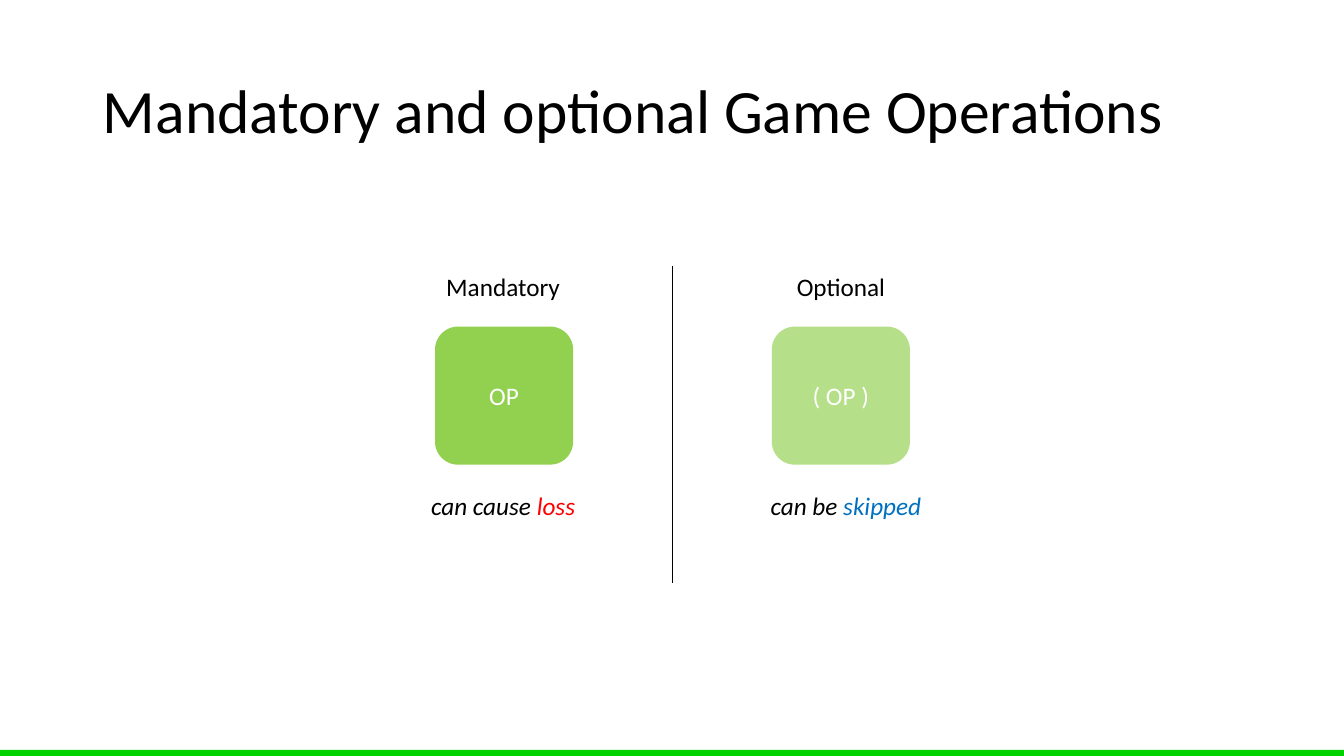
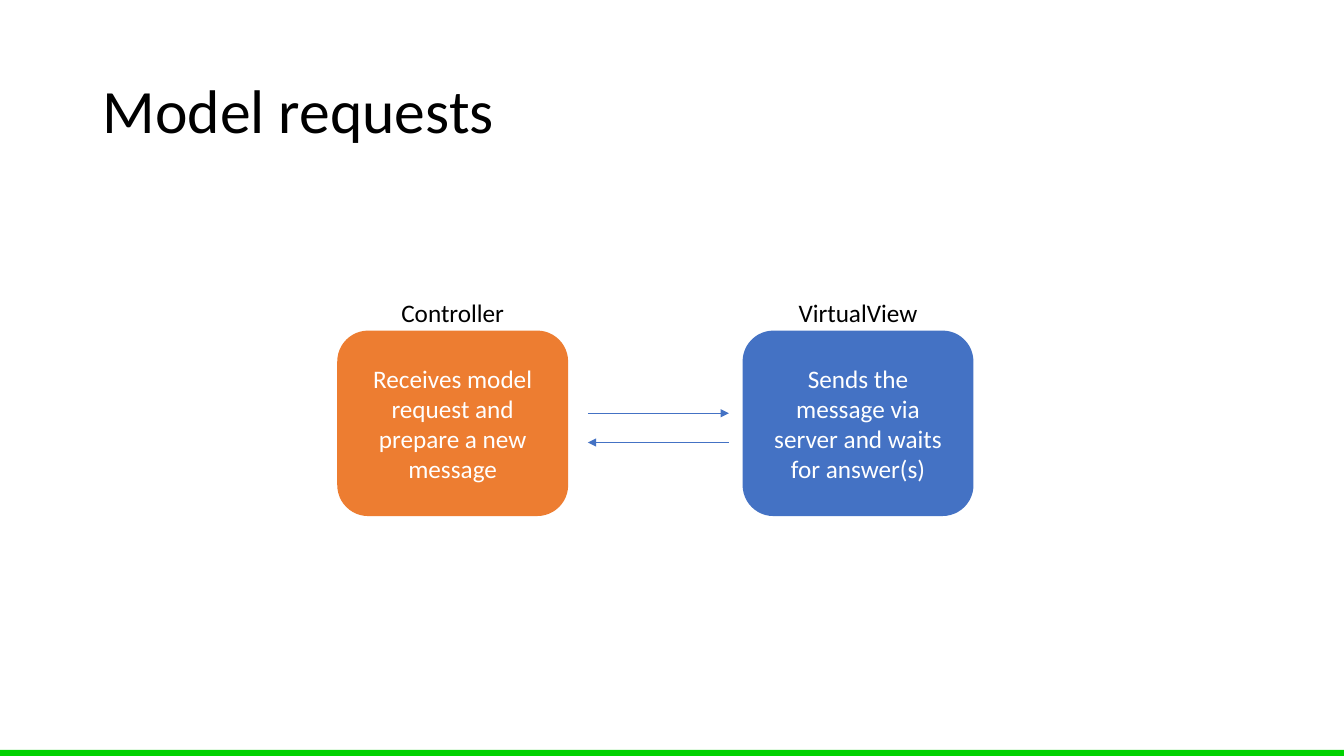
from pptx import Presentation
from pptx.dml.color import RGBColor
from pptx.enum.shapes import MSO_CONNECTOR, MSO_SHAPE
from pptx.enum.text import MSO_ANCHOR, MSO_AUTO_SIZE, PP_ALIGN
from pptx.oxml.ns import qn
from pptx.util import Inches, Pt
from lxml.etree import SubElement

BLACK, WHITE, BAND = "000000", "FFFFFF", "00D200"
GREEN, ORANGE, BLUE = "92D050", "ED7D31", "4472C4"
RED, SKY = "FF0000", "0070C0"
TITLE_STYLE = {"name": "Calibri", "size": Pt(44)}
TEXT_STYLE = {"name": "Calibri", "size": Pt(18)}
CAPTION_STYLE = {**TEXT_STYLE, "italic": True}
LABEL_WIDTH, LABEL_HEIGHT = 2, 0.4


def paint(fill, color):
    fill.solid()
    fill.fore_color.rgb = RGBColor.from_string(color)


def write(shape, runs, style, alignment=PP_ALIGN.CENTER, anchor=MSO_ANCHOR.MIDDLE):
    frame = shape.text_frame
    frame_format = {"word_wrap": True, "auto_size": MSO_AUTO_SIZE.NONE, "vertical_anchor": anchor}
    for name, value in frame_format.items():
        setattr(frame, name, value)
    paragraph = frame.paragraphs[0]
    paragraph.alignment = alignment
    for text, color in runs:
        run = paragraph.add_run()
        run.text = text
        for name, value in style.items():
            setattr(run.font, name, value)
        paint(run.font.fill, color)


slides = [
    {
        "title": "Mandatory and optional Game Operations",
        "box_size": (1.37, 1.37),
        "box_top": 3.24,
        "boxes": [(5, "OP", GREEN, 100), (8.34, "( OP )", GREEN, 68)],
        "labels": [
            (4.99, 2.64, [("Mandatory", BLACK)], TEXT_STYLE),
            (8.34, 2.64, [("Optional", BLACK)], TEXT_STYLE),
            (4.99, 4.82, [("can cause ", BLACK), ("loss", RED)], CAPTION_STYLE),
            (8.39, 4.82, [("can be ", BLACK), ("skipped", SKY)], CAPTION_STYLE),
        ],
        "lines": [((6.67, 2.64), (6.67, 5.78), BLACK, False)],
    },
    {
        "title": "Model requests",
        "box_size": (2.29, 1.84),
        "box_top": 3.28,
        "boxes": [
            (4.49, "Receives model request and prepare a new message", ORANGE, 100),
            (8.51, "Sends the message via server and waits for answer(s)", BLUE, 100),
        ],
        "labels": [
            (4.49, 2.9, [("Controller", BLACK)], TEXT_STYLE),
            (8.51, 2.9, [("VirtualView", BLACK)], TEXT_STYLE),
        ],
        "lines": [
            ((5.83, 4.1), (7.23, 4.1), BLUE, True),
            ((7.23, 4.39), (5.83, 4.39), BLUE, True),
        ],
    },
]

presentation = Presentation()
presentation.slide_width = Inches(13.33)
presentation.slide_height = Inches(7.5)
title_layout = presentation.slide_layouts[5]

for content in slides:
    slide = presentation.slides.add_slide(title_layout)
    paint(slide.background.fill, WHITE)

    title = slide.shapes.title
    title_place = {"left": 0.92, "top": 0.4, "width": 11.5, "height": 1.45}
    for name, value in title_place.items():
        setattr(title, name, Inches(value))
    write(title, [(content["title"], BLACK)], TITLE_STYLE, PP_ALIGN.LEFT)
    title.text_frame.paragraphs[0].line_spacing = 0.9

    band = slide.shapes.add_shape(
        MSO_SHAPE.RECTANGLE, 0, Inches(7.44), presentation.slide_width, Inches(0.06)
    )
    band.shadow.inherit = False
    paint(band.fill, BAND)
    band.line.fill.background()

    width, height = content["box_size"]
    for center, text, color, opacity in content["boxes"]:
        box = slide.shapes.add_shape(
            MSO_SHAPE.ROUNDED_RECTANGLE,
            Inches(center - width / 2),
            Inches(content["box_top"]),
            Inches(width),
            Inches(height),
        )
        box.shadow.inherit = False
        paint(box.fill, color)
        box.line.fill.background()
        if opacity < 100:
            fill_color = box._element.spPr.find(qn("a:solidFill")).find(qn("a:srgbClr"))
            SubElement(fill_color, qn("a:alpha"), val=str(opacity * 1000))
        write(box, [(text, WHITE)], TEXT_STYLE)

    for center, top, runs, style in content["labels"]:
        label = slide.shapes.add_textbox(
            Inches(center - LABEL_WIDTH / 2),
            Inches(top),
            Inches(LABEL_WIDTH),
            Inches(LABEL_HEIGHT),
        )
        write(label, runs, style, anchor=MSO_ANCHOR.TOP)

    for start, end, color, has_arrow in content["lines"]:
        connector = slide.shapes.add_connector(
            MSO_CONNECTOR.STRAIGHT, *[Inches(value) for value in start + end]
        )
        connector.line.width = Pt(0.5)
        paint(connector.line.fill, color)
        if has_arrow:
            SubElement(connector.line._get_or_add_ln(), qn("a:tailEnd"), type="triangle")
        SubElement(connector._element.spPr, qn("a:effectLst"))

presentation.save("out.pptx")
